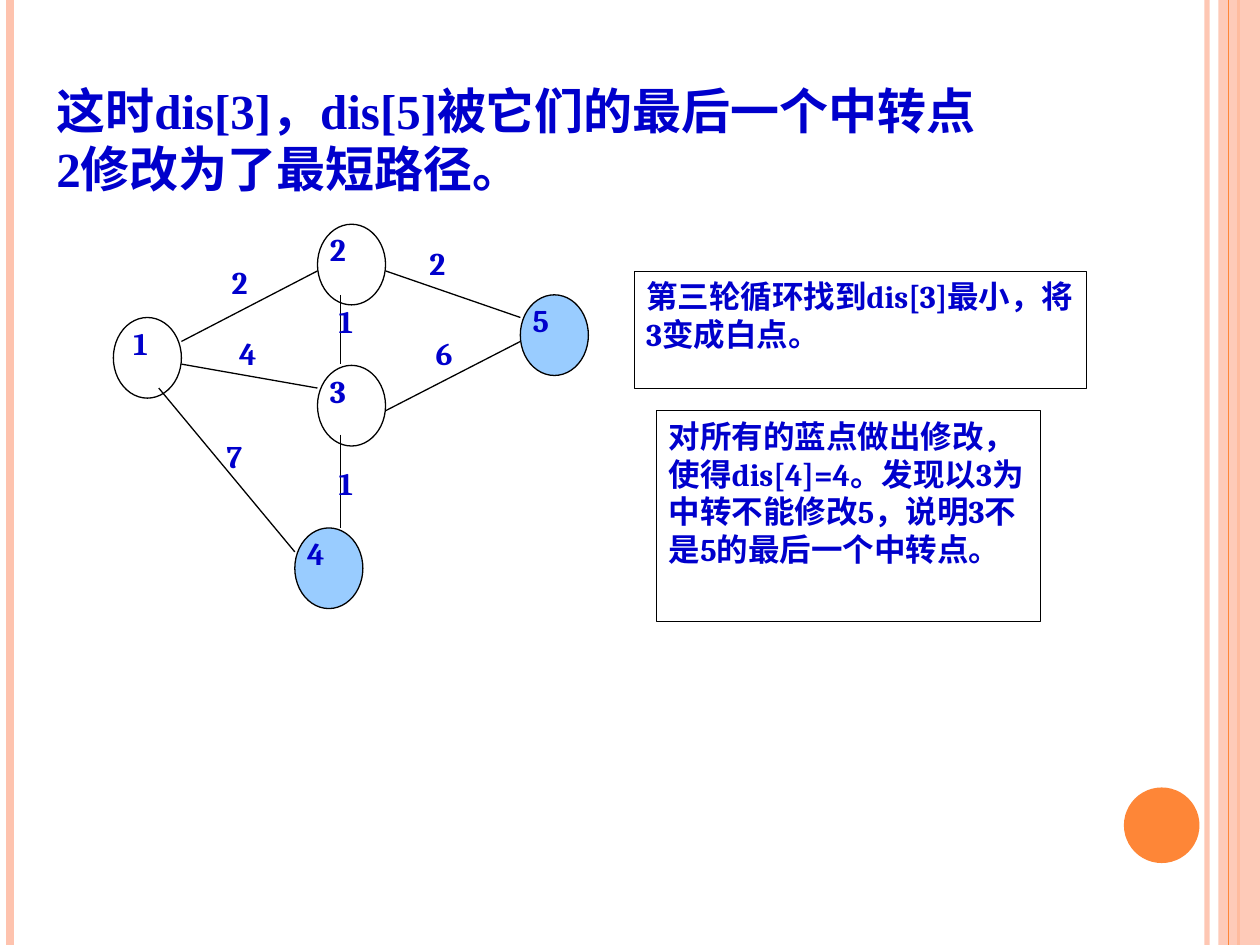
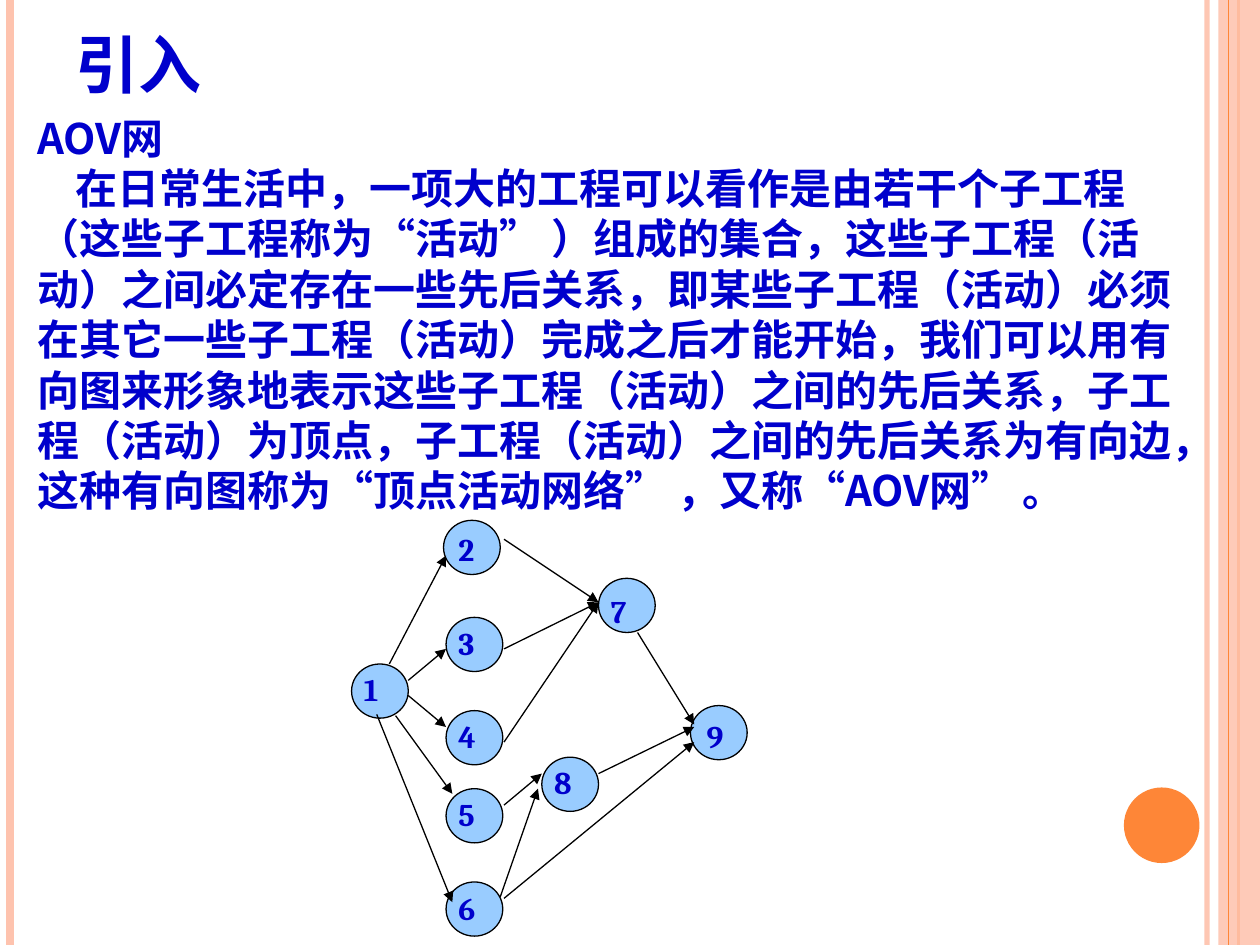
from lxml import etree
from pptx import Presentation
from pptx.dml.color import RGBColor
from pptx.enum.shapes import MSO_CONNECTOR, MSO_SHAPE
from pptx.enum.text import MSO_ANCHOR
from pptx.oxml.ns import qn
from pptx.util import Inches, Pt

STRAIGHT = MSO_CONNECTOR.STRAIGHT
OVAL = MSO_SHAPE.OVAL
RECTANGLE = MSO_SHAPE.RECTANGLE
TOP, BOTTOM = MSO_ANCHOR.TOP, MSO_ANCHOR.BOTTOM

INK = RGBColor(0x00, 0x00, 0xCC)
BLACK = RGBColor(0x00, 0x00, 0x00)
BLUE_POINT = RGBColor(0x99, 0xCC, 0xFF)
PEACH = RGBColor(0xFE, 0xC3, 0xAE)
ORANGE = RGBColor(0xFE, 0x86, 0x37)

SERIF = "Cambria"
ROMAN = "Times New Roman"
SANS = "Noto Sans CJK SC"

# Shortest paths: number -> (left, top, fill, label left offset)
PATH_NODES = {
    1: (0.9, 2.52, None, 0.06),
    2: (2.52, 1.78, None, 0),
    3: (2.52, 2.9, None, 0),
    4: (2.34, 4.19, BLUE_POINT, 0),
    5: (4.13, 2.34, BLUE_POINT, 0),
}
PATH_EDGES = [
    (1.44, 2.71, 2.52, 2.15),
    (1.26, 3.08, 2.34, 4.38),
    (1.44, 2.89, 2.52, 3.08),
    (2.7, 2.34, 2.7, 2.89),
    (2.7, 3.45, 2.7, 4.19),
    (3.06, 3.26, 4.13, 2.71),
    (3.06, 2.15, 4.13, 2.52),
]
PATH_WEIGHTS = [
    ("2", 1.74, 2.04),
    ("4", 1.8, 2.6),
    ("7", 1.7, 3.42),
    ("1", 2.59, 2.35),
    ("1", 2.59, 3.63),
    ("6", 3.36, 2.6),
    ("2", 3.31, 1.89),
]

# Activity network: number -> (left, top, label left offset, label top offset)
ACTIVITY_NODES = {
    1: (2.79, 5.27, 0, 0),
    2: (3.52, 4.13, 0.02, 0.03),
    3: (3.54, 4.9, 0, 0),
    4: (3.54, 5.64, 0, 0),
    5: (3.54, 6.26, 0, 0),
    6: (3.54, 7, 0, 0.01),
    7: (4.75, 4.59, 0, 0.06),
    8: (4.3, 6.01, 0, 0),
    9: (5.48, 5.6, 0.03, 0.04),
}
ACTIVITY_EDGES = [
    (3.09, 5.27, 3.54, 4.41),
    (3.24, 5.4, 3.54, 5.15),
    (3.24, 5.52, 3.54, 5.77),
    (3.14, 5.68, 3.59, 6.3),
    (2.99, 5.67, 3.59, 7.16),
    (4, 4.28, 4.75, 4.78),
    (4, 5.15, 4.75, 4.78),
    (4, 5.89, 4.75, 4.78),
    (4, 6.39, 4.3, 6.14),
    (3.97, 7.12, 4.27, 6.26),
    (5.06, 5.02, 5.51, 5.75),
    (4.75, 6.14, 5.51, 5.77),
    (4, 7.13, 5.51, 5.89),
]

AOV_TEXT = (
    "在日常生活中，一项大的工程可以看作是由若干个子工程（这些子工程称为“活动” ）"
    "组成的集合，这些子工程（活动）之间必定存在一些先后关系，即某些子工程（活动）"
    "必须在其它一些子工程（活动）完成之后才能开始，我们可以用有向图来形象地表示"
    "这些子工程（活动）之间的先后关系，子工程（活动）为顶点，子工程（活动）之间的"
    "先后关系为有向边，这种有向图称为“顶点活动网络” ，又称“AOV网” 。"
)


def set_opacity(shape, percent):
    for colour in shape._element.spPr.iter(qn("a:srgbClr")):
        etree.SubElement(colour, qn("a:alpha")).set("val", str(percent * 1000))


def add_line(slide, x1, y1, x2, y2, colour=BLACK, width=0.75, arrow=False):
    line = slide.shapes.add_connector(
        STRAIGHT, Inches(x1), Inches(y1), Inches(x2), Inches(y2))
    line.line.color.rgb = colour
    line.line.width = Pt(width)
    if arrow:
        etree.SubElement(line.line._get_or_add_ln(), qn("a:tailEnd")).set("type", "triangle")
    etree.SubElement(line._element.spPr, qn("a:effectLst"))
    return line


def add_outlined(slide, kind, left, top, width, height, fill=None, line=BLACK, line_width=0.75):
    shape = slide.shapes.add_shape(
        kind, Inches(left), Inches(top), Inches(width), Inches(height))
    shape.shadow.inherit = False
    if fill is None:
        shape.fill.background()
    else:
        shape.fill.solid()
        shape.fill.fore_color.rgb = fill
    if line is None:
        shape.line.fill.background()
    else:
        shape.line.color.rgb = line
        shape.line.width = Pt(line_width)
    return shape


def add_text(slide, text, left, top, width, height, size=18, font=SERIF,
             line_pitch=None, anchor=TOP):
    """Add bold blue text; line_pitch is the exact line height in points."""
    box = slide.shapes.add_textbox(
        Inches(left), Inches(top), Inches(width), Inches(height))
    frame = box.text_frame
    frame.word_wrap = True
    frame.vertical_anchor = anchor
    frame.text = text
    for paragraph in frame.paragraphs:
        if line_pitch:
            paragraph.line_spacing = Pt(line_pitch)
        paragraph.font.size = Pt(size)
        paragraph.font.bold = True
        paragraph.font.name = font
        paragraph.font.color.rgb = INK
        defaults = paragraph._p.pPr.find(qn("a:defRPr"))
        etree.SubElement(defaults, qn("a:ea")).set("typeface", SANS)
    return frame


def add_note(slide, text, left, top, width, height):
    add_outlined(slide, RECTANGLE, left, top, width, height, line_width=0.25)
    add_text(slide, text, left, top, width, height, line_pitch=21.6)


def add_bands(slide):
    """Draw the side bands and the orange disc that every slide carries."""
    set_opacity(add_line(slide, 9.58, 0, 9.58, 7.5, PEACH, 3), 93)
    add_line(slide, 0.08, 0, 0.08, 7.5, PEACH, 4.5)
    add_line(slide, 9.83, 0, 9.83, 7.5, ORANGE, 1.5)
    set_opacity(add_outlined(slide, RECTANGLE, 9.67, 0, 0.33, 7.5, PEACH, None), 87)
    add_line(slide, 9.75, 0, 9.75, 7.5, ORANGE, 0.75)
    add_outlined(slide, OVAL, 8.92, 6.25, 0.6, 0.6, ORANGE, None)


def add_slide(deck):
    slide = deck.slides.add_slide(deck.slide_layouts[6])
    add_bands(slide)
    return slide


def add_shortest_path_slide(deck):
    slide = add_slide(deck)
    add_text(slide, "这时dis[3]，dis[5]被它们的最后一个中转点2修改为了最短路径。",
             0.35, 0.6, 7.5, 1.04, size=28, font=ROMAN, line_pitch=33)
    for left, top, fill, _ in PATH_NODES.values():
        add_outlined(slide, OVAL, left, top, 0.54, 0.64, fill)
    for edge in PATH_EDGES:
        add_line(slide, *edge)
    for number, (left, top, _, shift) in PATH_NODES.items():
        add_text(slide, str(number), left + shift, top, 0.54, 0.56)
    for weight, left, top in PATH_WEIGHTS:
        add_text(slide, weight, left, top, 0.36, 0.56)
    add_note(slide, "第三轮循环找到dis[3]最小，将3变成白点。", 5.03, 2.15, 3.59, 0.93)
    add_note(slide, "对所有的蓝点做出修改，使得dis[4]=4。发现以3为中转不能修改5，"
                    "说明3不是5的最后一个中转点。", 5.21, 3.26, 3.05, 1.67)


def add_aov_slide(deck):
    slide = add_slide(deck)
    add_text(slide, "引入", 0.5, 0.21, 9, 0.64, size=36, line_pitch=43, anchor=BOTTOM)
    body = add_text(slide, "AOV网\n" + AOV_TEXT, 0.2, 0.84, 9.28, 3.3,
                    size=24, font=SANS, line_pitch=28.8)
    body.paragraphs[1]._p.pPr.set("indent", str(Inches(0.3)))
    for left, top, _, _ in ACTIVITY_NODES.values():
        add_outlined(slide, OVAL, left, top, 0.45, 0.43, BLUE_POINT)
    for edge in ACTIVITY_EDGES:
        add_line(slide, *edge, arrow=True)
    for number, (left, top, shift, drop) in ACTIVITY_NODES.items():
        add_text(slide, str(number), left + shift, top + drop, 0.39, 0.37)


def main():
    deck = Presentation()
    deck.slide_width = Inches(10)
    deck.slide_height = Inches(7.5)
    add_shortest_path_slide(deck)
    add_aov_slide(deck)
    deck.save("out.pptx")


if __name__ == "__main__":
    main()
